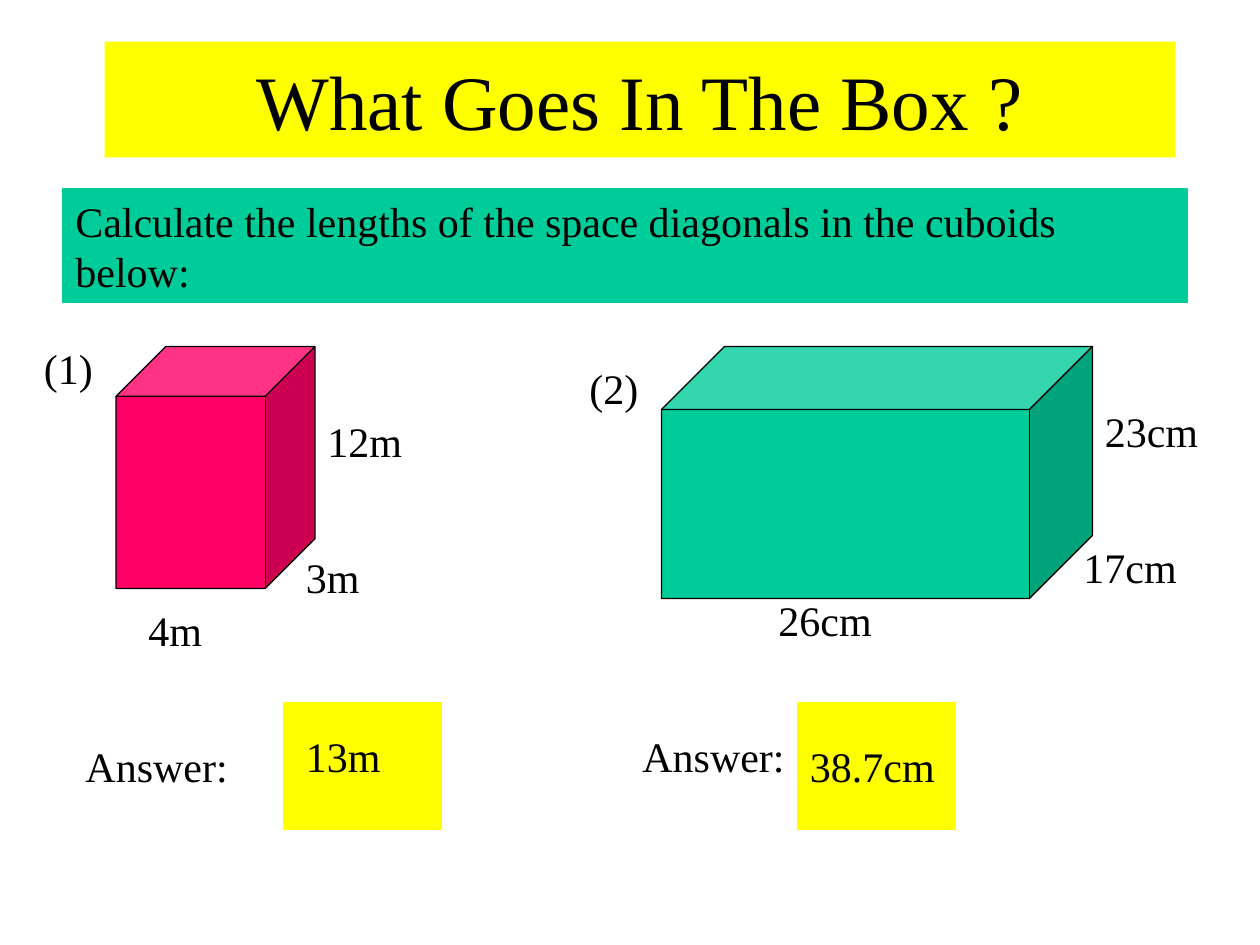
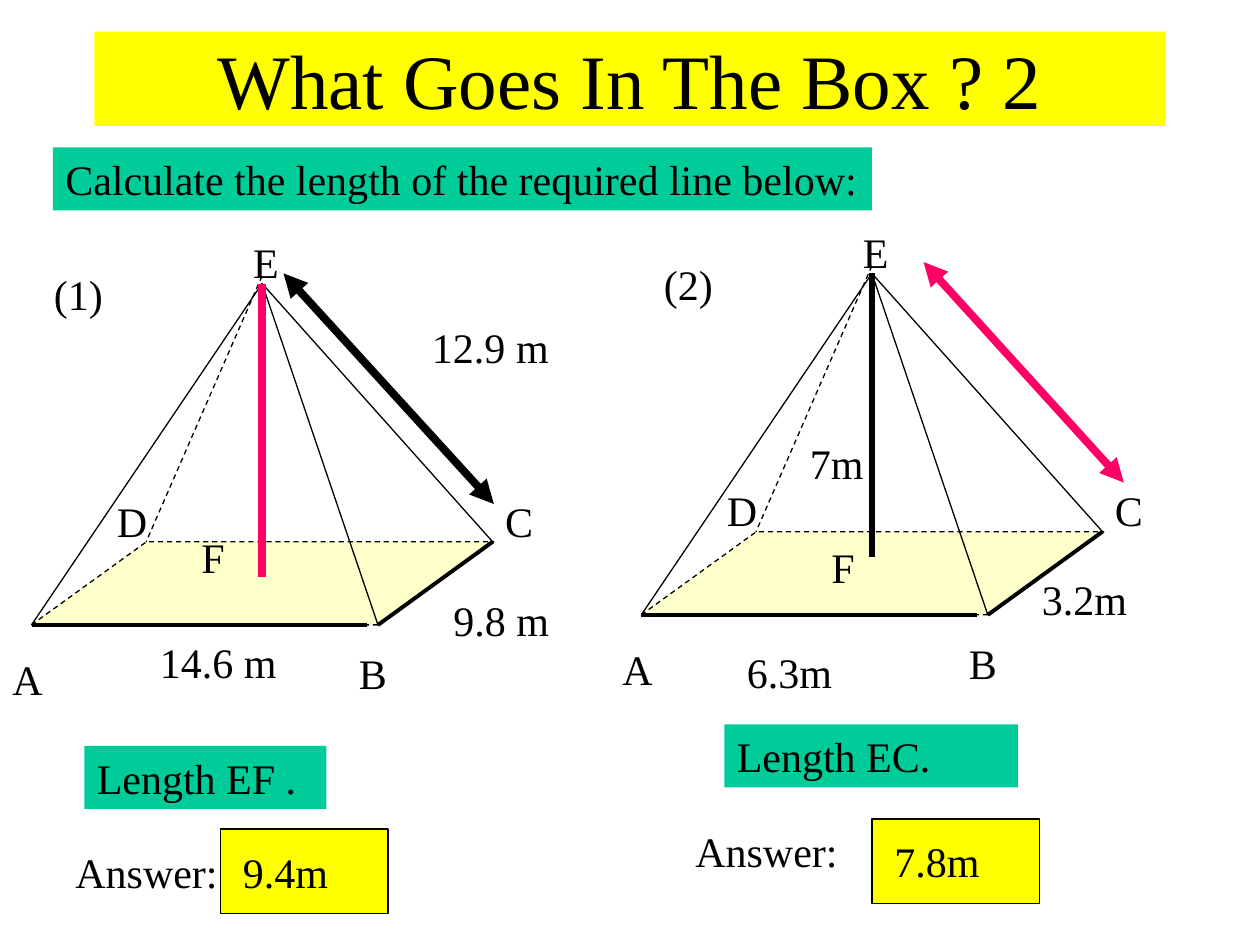
from pptx import Presentation
from pptx.dml.color import RGBColor
from pptx.enum.dml import MSO_LINE_DASH_STYLE as Dash
from pptx.enum.shapes import MSO_CONNECTOR as Connector, MSO_SHAPE as Shape
from pptx.enum.text import MSO_ANCHOR as Anchor, MSO_AUTO_SIZE as AutoSize, PP_ALIGN as Align
from pptx.oxml.ns import qn
from pptx.util import Inches, Pt
from lxml.etree import SubElement

COLORS = {
    "ink": "000000",
    "yellow": "FFFF00",
    "green": "00CC99",
    "pink": "FF0066",
    "cream": "FFFFCC",
}
FRAME = {
    "word_wrap": True,
    "margin_left": Inches(0.1),
    "margin_right": Inches(0.1),
    "margin_top": Inches(0.05),
    "margin_bottom": Inches(0.05),
}
LABEL = {"vertical_anchor": Anchor.TOP, "auto_size": AutoSize.SHAPE_TO_FIT_TEXT}
HEADING = {"vertical_anchor": Anchor.MIDDLE, "auto_size": AutoSize.NONE}


def set_all(target, values):
    for name, value in values.items():
        setattr(target, name, value)


def color(name):
    return RGBColor.from_string(COLORS[name])


class Worksheet:
    font = "Times New Roman"
    text_size = 24
    title_size = 44
    thin = 0.75

    def __init__(self):
        self.deck = Presentation()
        set_all(self.deck, {"slide_width": Inches(10), "slide_height": Inches(7.5)})
        self.page = None

    def new_page(self):
        self.page = self.deck.slides.add_slide(self.deck.slide_layouts[6])

    def fill_text(self, box, text, size, align, frame):
        set_all(box.text_frame, FRAME | frame)
        para = box.text_frame.paragraphs[0]
        para.alignment = align
        span = para.add_run()
        span.text = text
        set_all(span.font, {"name": self.font, "size": Pt(size)})
        span.font.color.rgb = color("ink")

    def label(self, text, left, top, width=1.0):
        box = self.page.shapes.add_textbox(
            Inches(left), Inches(top), Inches(width), Inches(0.5))
        self.fill_text(box, text, self.text_size, Align.LEFT, LABEL)

    def solid(self, kind, place, fill, line=None, dash=None, adjust=None):
        shape = self.page.shapes.add_shape(kind, *map(Inches, place))
        shape.shadow.inherit = False
        shape.fill.solid()
        shape.fill.fore_color.rgb = color(fill)
        if line:
            shape.line.color.rgb = color(line)
            set_all(shape.line, {"width": Pt(self.thin), "dash_style": dash})
        else:
            shape.line.fill.background()
        if adjust:
            shape.adjustments[0] = adjust
        return shape

    def title(self, text, *place):
        box = self.solid(Shape.RECTANGLE, place, "yellow")
        self.fill_text(box, text, self.title_size, Align.CENTER, HEADING)

    def band(self, text, *place, line=None):
        box = self.solid(Shape.RECTANGLE, place, "green", line)
        self.fill_text(box, text, self.text_size, Align.LEFT, LABEL)

    def edge(self, start, end, width=thin, tint="ink", dash=None, arrows=False):
        edge = self.page.shapes.add_connector(
            Connector.STRAIGHT, *map(Inches, (*start, *end)))
        edge.line.color.rgb = color(tint)
        set_all(edge.line, {"width": Pt(width), "dash_style": dash})
        properties = edge.element.spPr
        if arrows:
            for tip in ("a:headEnd", "a:tailEnd"):
                SubElement(properties.find(qn("a:ln")), qn(tip), type="triangle")
        SubElement(properties, qn("a:effectLst"))

    def cuboid(self, place, fill):
        self.solid(Shape.CUBE, place, fill, "ink", adjust=0.25)

    def answer(self, text, box_place, line, prompt_at, text_at):
        self.label("Answer:", *prompt_at, 1.5)
        self.solid(Shape.RECTANGLE, box_place, "yellow", line)
        self.label(text, *text_at, 1.5)

    def pyramid(self, x, y, height, height_width, height_tint):
        def at(dx, dy):
            return x + dx, y + dy

        apex, a, b, c = at(0, 0), at(-1.83, 2.71), at(0.92, 2.71), at(1.83, 2.05)
        self.solid(Shape.PARALLELOGRAM, (*at(-1.83, 2.05), 3.67, 0.66),
                   "cream", "ink", Dash.DASH, 1.384)
        for corner in (a, b, c):
            self.edge(apex, corner)
        self.edge(at(0, -0.06), at(-0.92, 2.05), dash=Dash.DASH)
        self.edge(a, at(0.83, 2.71), 2.25)
        self.edge(b, c, 2.25)
        self.edge(apex, at(0, height), height_width, height_tint)
        corners = {"A": (-2.08, 2.89), "B": (0.67, 2.84), "C": (1.83, 1.63),
                   "D": (-1.25, 1.63), "E": (-0.17, -0.42)}
        for letter, offset in corners.items():
            self.label(letter, *at(*offset), 0.58)


def draw_cuboids(sheet):
    sheet.new_page()
    sheet.title("What Goes In The Box ?", 0.83, 0.33, 8.5, 0.92)
    sheet.band("Calculate the lengths of the space diagonals in the cuboids below:",
               0.5, 1.5, 8.92, 0.9, line="green")
    sheet.cuboid((0.92, 2.75, 1.58, 1.92), "pink")
    sheet.cuboid((5.25, 2.75, 3.42, 2), "green")
    for text, left, top in (
            ("(1)", 0.25, 2.67), ("4m", 1.08, 4.75),
            ("3m", 2.33, 4.33), ("12m", 2.5, 3.25),
            ("(2)", 4.58, 2.83), ("26cm", 6.08, 4.67),
            ("17cm", 8.5, 4.25), ("23cm", 8.67, 3.17)):
        sheet.label(text, left, top, 1.08)
    sheet.answer("13m", (2.25, 5.58, 1.25, 1), "yellow", (0.58, 5.83), (2.33, 5.75))
    sheet.answer("38.7cm", (6.33, 5.58, 1.25, 1), "yellow", (5, 5.75), (6.33, 5.83))


def draw_pyramids(sheet):
    sheet.new_page()
    sheet.title("What Goes In The Box ? 2", 0.75, 0.25, 8.5, 0.75)
    sheet.band("Calculate the length of the required line below:", 0.42, 1.17, 6.5, 0.5)
    sheet.pyramid(2.08, 2.25, 2.33, 4.5, "pink")
    sheet.pyramid(6.92, 2.17, 2.25, 3, "ink")
    sheet.edge((2.25, 2.17), (3.92, 4), 4.5, arrows=True)
    sheet.edge((7.33, 2.08), (8.92, 3.83), 4.5, "pink", arrows=True)
    for text, left, top in (
            ("(1)", 0.33, 2.08), ("F", 1.5, 4.17), ("14.6 m", 1.17, 5),
            ("9.8 m", 3.5, 4.67), ("12.9 m", 3.33, 2.5),
            ("(2)", 5.17, 2), ("F", 6.5, 4.25), ("6.3m", 5.83, 5.08),
            ("3.2m", 8.17, 4.5), ("7m", 6.33, 3.42)):
        sheet.label(text, left, top, 1.25)
    sheet.band("Length EF .", 0.67, 5.92, 1.92, 0.5)
    sheet.band("Length EC.", 5.75, 5.75, 2.33, 0.5)
    sheet.answer("9.4m", (1.75, 6.58, 1.33, 0.67), "ink", (0.5, 6.67), (1.83, 6.67))
    sheet.answer("7.8m", (6.92, 6.5, 1.33, 0.67), "ink", (5.42, 6.5), (7, 6.58))


def main():
    sheet = Worksheet()
    draw_cuboids(sheet)
    draw_pyramids(sheet)
    sheet.deck.save("out.pptx")


if __name__ == "__main__":
    main()
